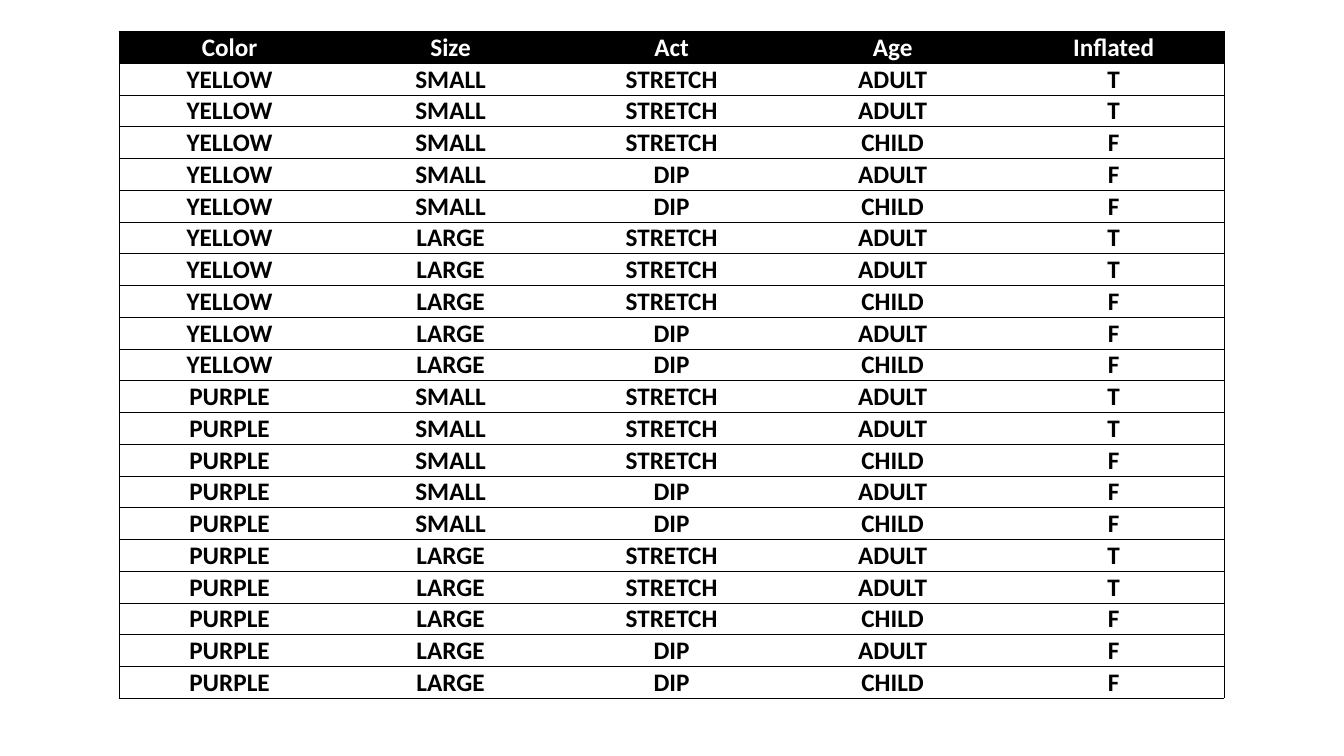
from itertools import product

from lxml import etree
from pptx import Presentation
from pptx import util as u
from pptx.dml.color import RGBColor
from pptx.enum import text
from pptx.oxml.ns import qn

HEADER = ("Color", "Size", "Act", "Age", "Inflated")
COLORS = ("YELLOW", "PURPLE")
SIZES = ("SMALL", "LARGE")
OUTCOMES = (
    ("STRETCH", "ADULT", "T"),
    ("STRETCH", "ADULT", "T"),
    ("STRETCH", "CHILD", "F"),
    ("DIP", "ADULT", "F"),
    ("DIP", "CHILD", "F"),
)
PALETTE = {"black": "000000", "white": "FFFFFF"}
FONT = "Calibri"
LEFT, TOP = 3.0, 0.79
COL_W, ROW_H = 5.57, 0.8


def set_borders(cell, visible):
    tcPr = cell._tc.get_or_add_tcPr()
    for i, side in enumerate("LRTB"):
        ln = etree.Element(qn(f"a:ln{side}"), w=str(u.Pt(0.5)))
        if side in visible:
            fill = etree.SubElement(ln, qn("a:solidFill"))
            etree.SubElement(fill, qn("a:srgbClr"), val=PALETTE["black"])
        else:
            etree.SubElement(ln, qn("a:noFill"))
        tcPr.insert(i, ln)


def format_cell(cell, value, is_header):
    cell.text_frame.text = value
    cell.vertical_anchor = text.MSO_ANCHOR.BOTTOM
    cell.margin_left = cell.margin_right = cell.margin_top = u.Cm(0.02)
    cell.margin_bottom = u.Cm(0)
    if is_header:
        cell.fill.solid()
        cell.fill.fore_color.rgb = RGBColor.from_string(PALETTE["black"])
    else:
        cell.fill.background()
    p = cell.text_frame.paragraphs[0]
    p.alignment = text.PP_ALIGN.CENTER
    font = p.runs[0].font
    font.name, font.size, font.bold = FONT, u.Pt(18), True
    font.color.rgb = RGBColor.from_string(PALETTE["white" if is_header else "black"])


def main():
    rows = [HEADER] + [
        (color, size, *outcome)
        for color, size, outcome in product(COLORS, SIZES, OUTCOMES)
    ]
    n_rows, n_cols = len(rows), len(HEADER)

    prs = Presentation()
    prs.slide_width, prs.slide_height = u.Cm(33.87), u.Cm(19.05)
    s = prs.slides.add_slide(prs.slide_layouts[6])
    table = s.shapes.add_table(
        n_rows, n_cols, u.Cm(LEFT), u.Cm(TOP),
        u.Cm(COL_W * n_cols), u.Cm(ROW_H * n_rows),
    ).table
    table.first_row = table.horz_banding = False
    for col in table.columns:
        col.width = u.Cm(COL_W)

    for i, row in enumerate(rows):
        table.rows[i].height = u.Cm(ROW_H)
        for j, value in enumerate(row):
            cell = table.cell(i, j)
            format_cell(cell, value, i == 0)
            sides = "TB" + ("L" if j == 0 else "") + ("R" if j == n_cols - 1 else "")
            set_borders(cell, sides)

    prs.save("out.pptx")


if __name__ == "__main__":
    main()
